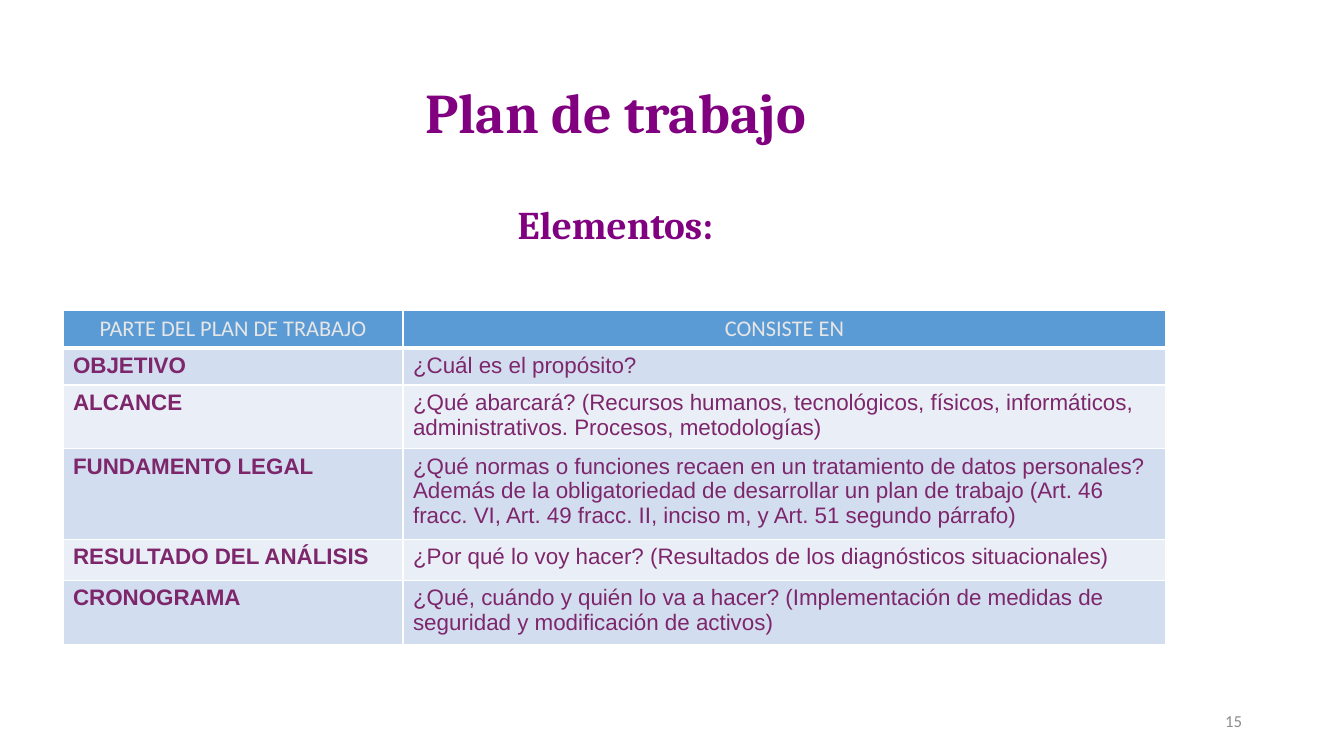
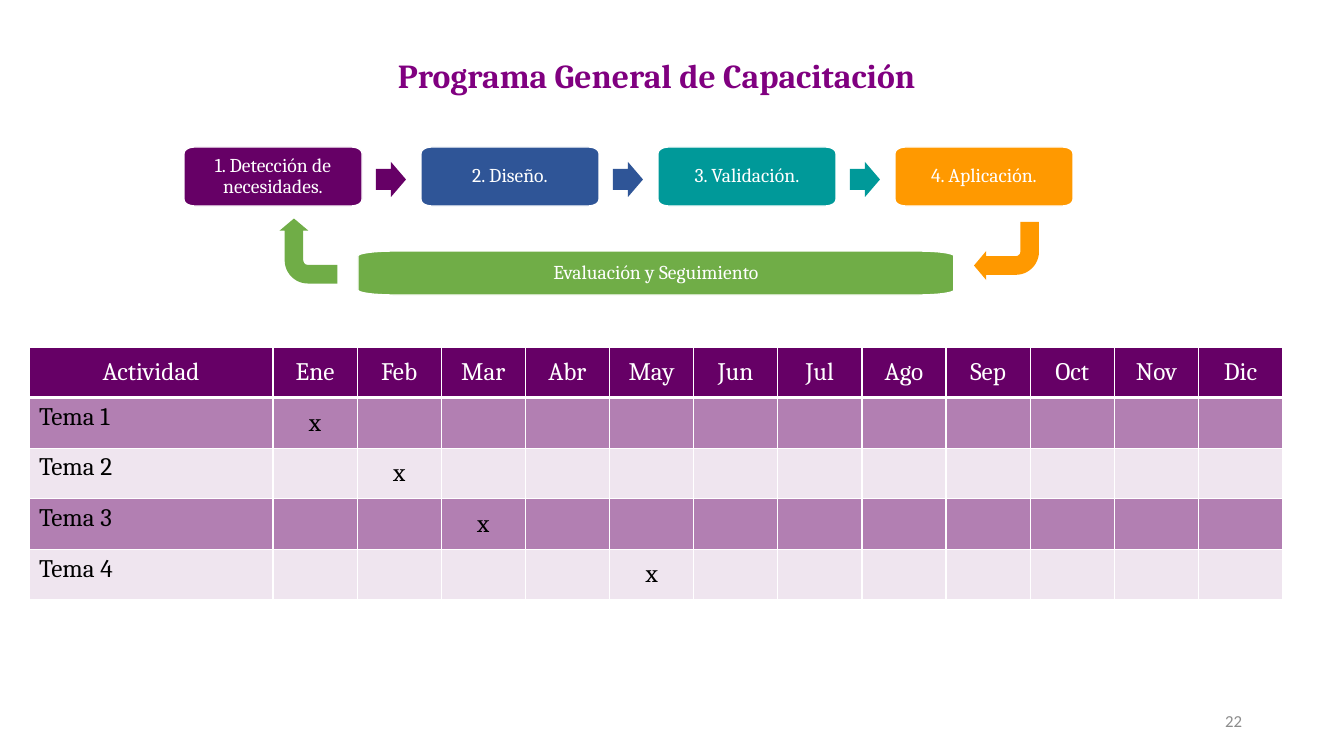
from dataclasses import dataclass
from math import cos, pi, sin

from lxml.etree import SubElement
from pptx import Presentation
from pptx.dml.color import RGBColor as Rgb
from pptx.enum.shapes import MSO_SHAPE as Preset
from pptx.enum.text import MSO_ANCHOR as Anchor
from pptx.enum.text import MSO_AUTO_SIZE as Fit
from pptx.enum.text import PP_ALIGN as Align
from pptx.oxml.ns import qn
from pptx.util import Pt

SCALE = 12192000 / 1344


@dataclass(frozen=True)
class Theme:
    serif: str = "Cambria"
    sans: str = "Calibri"
    plain: str = "Arial"
    white: str = "FFFFFF"
    title: str = "800080"
    grey: str = "8C8C8C"
    plum: str = "660066"
    blue: str = "2F5597"
    teal: str = "009999"
    amber: str = "FF9900"
    green: str = "70AD47"
    big: int = 40
    mid: int = 28
    small: int = 24
    note: int = 12
    step: int = 14


@dataclass(frozen=True)
class Look:
    size: int
    head: str
    bands: tuple
    head_font: str
    head_ink: str
    font: str
    ink: str
    bold: bool
    align: Align
    anchor: Anchor


THEME = Theme()
PLAN = Look(16, "5B9BD5", ("D2DEEF", "EAEFF7"), THEME.sans, "E7E6E6",
            THEME.plain, "7E266B", True, Align.LEFT, Anchor.TOP)
YEAR = Look(18, THEME.plum, ("B27FB2", "EFE5EF"), THEME.serif, THEME.white,
            THEME.serif, "000000", False, Align.CENTER, Anchor.MIDDLE)

PARTS = [
    ("PARTE DEL PLAN DE TRABAJO", "CONSISTE EN"),
    ("OBJETIVO", "¿Cuál es el propósito?"),
    ("ALCANCE", "¿Qué abarcará? (Recursos humanos, tecnológicos, físicos, "
     "informáticos, administrativos. Procesos, metodologías)"),
    ("FUNDAMENTO LEGAL", "¿Qué normas o funciones recaen en un tratamiento de "
     "datos personales? Además de la obligatoriedad de desarrollar un plan de "
     "trabajo (Art. 46 fracc. VI, Art. 49 fracc. II, inciso m, y Art. 51 "
     "segundo párrafo)"),
    ("RESULTADO DEL ANÁLISIS", "¿Por qué lo voy hacer? (Resultados de los "
     "diagnósticos situacionales)"),
    ("CRONOGRAMA", "¿Qué, cuándo y quién lo va a hacer? (Implementación de "
     "medidas de seguridad y modificación de activos)"),
]
MONTHS = "Ene Feb Mar Abr May Jun Jul Ago Sep Oct Nov Dic".split()
TOPICS = {"Tema 1": "Ene", "Tema 2": "Feb", "Tema 3": "Mar", "Tema 4": "May"}
STEPS = [
    ("1. Detección de necesidades.", THEME.plum),
    ("2. Diseño.", THEME.blue),
    ("3. Validación.", THEME.teal),
    ("4. Aplicación.", THEME.amber),
]


def px(num):
    return round(num * SCALE)


def place(box):
    return [px(num) for num in box]


def style(para, font, size, ink, bold=False, align=Align.CENTER):
    para.alignment = align
    for run in para.runs:
        run.font.name = font
        run.font.size = Pt(size)
        run.font.bold = bold
        run.font.color.rgb = Rgb.from_string(ink)


def paint(shape, fill, line=None):
    shape.shadow.inherit = False
    shape.fill.solid()
    shape.fill.fore_color.rgb = Rgb.from_string(fill)
    if line:
        shape.line.color.rgb = Rgb.from_string(line)
        shape.line.width = Pt(1)
    else:
        shape.line.fill.background()


def add_page(deck, lines, box, num):
    slide = deck.slides.add_slide(deck.slide_layouts[5])
    title = slide.shapes.title
    title.left, title.top, title.width, title.height = place(box)
    frame = title.text_frame
    frame.text = "\n".join(text for text, size in lines)
    frame.auto_size = Fit.NONE
    frame.word_wrap = True
    frame.vertical_anchor = Anchor.BOTTOM
    for pos, (para, (text, size)) in enumerate(zip(frame.paragraphs, lines)):
        style(para, THEME.serif, size, THEME.title, True)
        para.line_spacing = 0.9
        para.space_before = Pt(43 if pos else 0)
    foot = slide.shapes.add_textbox(*place((950, 701, 302, 40))).text_frame
    foot.text = str(num)
    foot.word_wrap = True
    foot.vertical_anchor = Anchor.MIDDLE
    style(foot.paragraphs[0], THEME.sans, THEME.note, THEME.grey,
          align=Align.RIGHT)
    return slide


def edge(cell, head):
    props = cell._tc.get_or_add_tcPr()
    for side in "LRTB":
        width = 3 if head and side == "B" else 1
        line = SubElement(props, qn(f"a:ln{side}"), w=str(Pt(width)))
        fill = SubElement(line, qn("a:solidFill"))
        SubElement(fill, qn("a:srgbClr"), val=THEME.white)


def add_grid(slide, box, rows, first, look, heights=()):
    count = len(rows[0])
    table = slide.shapes.add_table(len(rows), count, *place(box)).table
    for pos, col in enumerate(table.columns):
        col.width = px((box[2] - first) / (count - 1)) if pos else px(first)
    for row, height in zip(table.rows, heights):
        row.height = px(height)
    for i, row in enumerate(rows):
        for j, text in enumerate(row):
            cell = table.cell(i, j)
            edge(cell, i == 0)
            cell.fill.solid()
            tint = look.bands[(i - 1) % 2] if i else look.head
            cell.fill.fore_color.rgb = Rgb.from_string(tint)
            cell.text = text
            para = cell.text_frame.paragraphs[0]
            label = i > 0 and j == 0
            cell.vertical_anchor = Anchor.TOP if label else look.anchor
            if i == 0:
                style(para, look.head_font, look.size, look.head_ink)
            else:
                style(para, look.font, look.size, look.ink,
                      look.bold and label,
                      Align.LEFT if label else look.align)


def add_card(slide, box, text, fill):
    left, top, width, height = place(box)
    rx, ry = width * 0.06, height * 0.11
    spots = []
    for turn, (sx, sy) in enumerate([(1, 1), (-1, 1), (-1, -1), (1, -1)]):
        mx = left + width / 2 + sx * (width / 2 - rx)
        my = top + height / 2 + sy * (height / 2 - ry)
        for part in range(9):
            angle = (turn + part / 8) * pi / 2
            spots.append((round(mx + rx * cos(angle)),
                          round(my + ry * sin(angle))))
    path = slide.shapes.build_freeform(*spots[0])
    path.add_line_segments(spots[1:], close=True)
    card = path.convert_to_shape()
    paint(card, fill, THEME.white)
    frame = card.text_frame
    frame.text = text
    frame.word_wrap = True
    frame.vertical_anchor = Anchor.MIDDLE
    frame.margin_left = frame.margin_right = px(8)
    frame.margin_top = frame.margin_bottom = px(8)
    style(frame.paragraphs[0], THEME.serif, THEME.step, THEME.white)
    frame.paragraphs[0].line_spacing = 0.9


def add_arrow(slide, kind, box, fill, tweaks, turn=0):
    arrow = slide.shapes.add_shape(kind, *place(box))
    for pos, tweak in enumerate(tweaks):
        arrow.adjustments[pos] = tweak
    arrow.rotation = turn
    paint(arrow, fill)


def add_cycle(slide, left, top):
    pitch = 237
    for pos, (text, fill) in enumerate(STEPS):
        start = left + pos * pitch
        add_card(slide, (start, top, 178, 59), text, fill)
        if pos < len(STEPS) - 1:
            add_arrow(slide, Preset.RIGHT_ARROW,
                      (start + 192, top + 15, 30, 35), fill, (0.6, 0.5))
    add_card(slide, (left + 174, top + 104, 596, 44),
             "Evaluación y Seguimiento", THEME.green)
    for shift, fill, turn in [(790, THEME.amber, 180), (92, THEME.green, 270)]:
        add_arrow(slide, Preset.BENT_ARROW,
                  (left + shift, top + 75, 65, 58), fill,
                  (0.32, 0.25, 0.21, 0.4), turn)


def plan_page(deck):
    lines = [("Plan de trabajo", THEME.big), ("Elementos:", THEME.mid)]
    slide = add_page(deck, lines, (199, 204, 833, 49), 15)
    add_grid(slide, (63, 310, 1103, 318), PARTS, 340, PLAN,
             (38, 35, 60, 84, 41, 60))


def year_page(deck):
    lines = [("Programa General de Capacitación", THEME.small)]
    slide = add_page(deck, lines, (240, 52, 833, 49), 22)
    rows = [["Actividad", *MONTHS]]
    for topic, due in TOPICS.items():
        rows.append([topic, *("x" if month == due else "" for month in MONTHS)])
    add_grid(slide, (29, 347, 1254, 253), rows, 244, YEAR)
    add_cycle(slide, 184, 147)


def main():
    deck = Presentation()
    deck.slide_width, deck.slide_height = px(1344), px(756)
    plan_page(deck)
    year_page(deck)
    deck.save("out.pptx")


if __name__ == "__main__":
    main()
